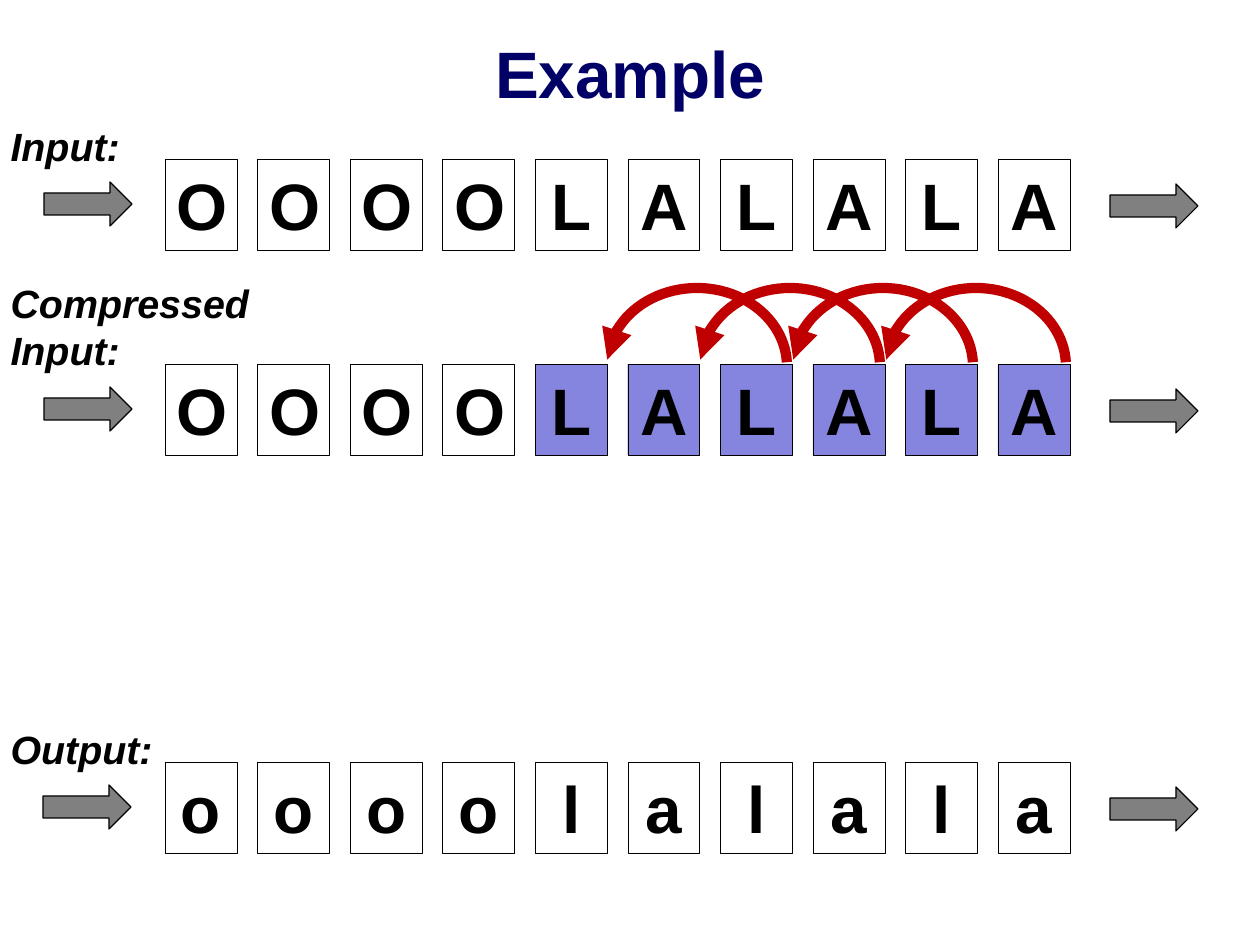
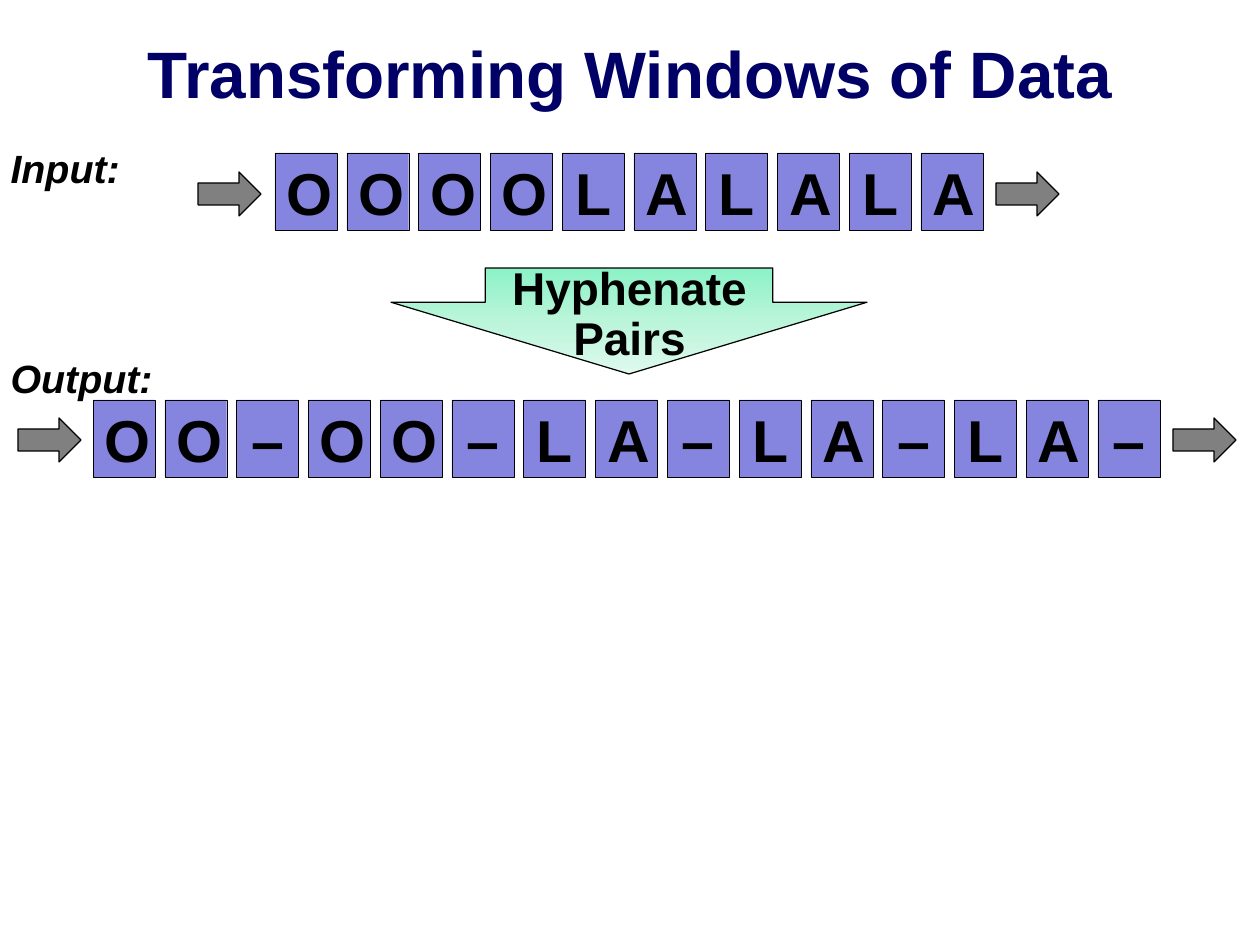
"""Build two slides that show how rows of data windows are transformed."""
from copy import deepcopy

from lxml import etree
from pptx import Presentation
from pptx.dml.color import RGBColor
from pptx.enum.shapes import MSO_SHAPE
from pptx.enum.text import MSO_ANCHOR, MSO_AUTO_SIZE, PP_ALIGN
from pptx.oxml.ns import qn
from pptx.util import Pt

RECTANGLE, ARC = MSO_SHAPE.RECTANGLE, MSO_SHAPE.ARC
RIGHT_ARROW, DOWN_ARROW = MSO_SHAPE.RIGHT_ARROW, MSO_SHAPE.DOWN_ARROW
TOP, MIDDLE = MSO_ANCHOR.TOP, MSO_ANCHOR.MIDDLE
LEFT, CENTER = PP_ALIGN.LEFT, PP_ALIGN.CENTER
GROW, FIXED = MSO_AUTO_SIZE.SHAPE_TO_FIT_TEXT, MSO_AUTO_SIZE.NONE

EMU_PER_PX = 7741
PAGE_WIDTH, PAGE_HEIGHT = 1260, 945
FONT = "Arial"
COLORS = {
    "title": "000066",
    "ink": "000000",
    "window": "8585E0",
    "arrow": "808080",
    "jump": "C00000",
}
GRADIENT = [(0, "8CF2C6"), (0.5, "BAF5DA"), (1, "DEF9EC")]

LARGE = {"box": (72, 91), "arrow": (88, 44), "size": 40,
         "anchor": TOP, "fit": GROW}
SMALL = {"box": (62, 77), "arrow": (63, 44), "size": 36,
         "anchor": MIDDLE, "fit": FIXED}

SLIDES = [
    {
        "title": "Example",
        "labels": [
            ("Input:", 116, 133, 59),
            ("Compressed\nInput:", 273, 265, 107),
            ("Output:", 719, 168, 59),
        ],
        "rows": [
            {"letters": "OOOOLALALA", "plain": 10, "style": LARGE, "top": 159,
             "first": 165, "last": 998, "arrows": [(44, 182), (1110, 184)]},
            {"letters": "OOOOLALALA", "plain": 4, "style": LARGE, "top": 364,
             "first": 165, "last": 998, "arrows": [(44, 387), (1110, 389)]},
            {"letters": "oooolalala", "plain": 10, "style": LARGE, "top": 762,
             "first": 165, "last": 998, "arrows": [(43, 785), (1110, 787)]},
        ],
        "jumps": {"count": 4, "left": 607, "step": 93, "top": 288,
                  "width": 180, "height": 156},
    },
    {
        "title": "Transforming Windows of Data",
        "labels": [("Input:", 138, 133, 59), ("Output:", 348, 168, 59)],
        "rows": [
            {"letters": "OOOOLALALA", "plain": 0, "style": SMALL, "top": 153,
             "first": 275, "last": 921, "arrows": [(198, 172), (996, 172)]},
            {"letters": "OO–OO–LA–LA–LA–", "plain": 0, "style": SMALL,
             "top": 400, "first": 93, "last": 1098,
             "arrows": [(18, 418), (1173, 418)]},
        ],
        "step": "Hyphenate\vPairs",
    },
]


def px(*lengths):
    return [round(length * EMU_PER_PX) for length in lengths]


def color(name):
    return RGBColor.from_string(COLORS[name])


def write(box, text, size, ink="ink", italic=False, align=LEFT, anchor=TOP,
          wrap=True, fit=FIXED, spacing=None, margins=None):
    frame = box.text_frame
    frame.word_wrap = wrap
    frame.auto_size = fit
    frame.vertical_anchor = anchor
    if margins:
        side, edge = px(*margins)
        frame.margin_left = frame.margin_right = side
        frame.margin_top = frame.margin_bottom = edge
    for number, line in enumerate(text.split("\n")):
        para = frame.add_paragraph() if number else frame.paragraphs[0]
        para.text = line
        para.alignment = align
        if spacing:
            para.line_spacing = spacing
        for span in para.runs:
            span.font.name = FONT
            span.font.size = Pt(size)
            span.font.bold = True
            span.font.italic = italic
            span.font.color.rgb = color(ink)


def add_text(page, place, text, **style):
    write(page.shapes.add_textbox(*px(*place)), text, **style)


def add_figure(page, kind, place, fill=None, line="ink", weight=0.75):
    figure = page.shapes.add_shape(kind, *px(*place))
    figure.shadow.inherit = False
    if fill:
        figure.fill.solid()
        figure.fill.fore_color.rgb = color(fill)
    else:
        figure.fill.background()
    figure.line.color.rgb = color(line)
    figure.line.width = Pt(weight)
    return figure


def add_row(page, letters, plain, style, top, first, last, arrows):
    pitch = (last - first) / (len(letters) - 1)
    for index, letter in enumerate(letters):
        place = (first + index * pitch, top, *style["box"])
        fill = "window" if index >= plain else None
        box = add_figure(page, RECTANGLE, place, fill, weight=0.25)
        write(box, letter, size=style["size"], align=CENTER,
              anchor=style["anchor"], fit=style["fit"])
    for corner in arrows:
        add_figure(page, RIGHT_ARROW, (*corner, *style["arrow"]), "arrow")


def add_jumps(page, count, left, step, top, width, height):
    for index in range(count):
        place = (left + index * step, top, width, height)
        jump = add_figure(page, ARC, place, line="jump", weight=6.25)
        jump.adjustments[0] = 109.432
        jump.adjustments[1] = 213.554
        properties = jump.element.spPr
        properties.find(qn("a:xfrm")).set("flipH", "1")
        outline = properties.find(qn("a:ln"))
        etree.SubElement(outline, qn("a:tailEnd"), type="triangle")


def add_step(page, text):
    arrow = add_figure(page, DOWN_ARROW, (391, 268, 476, 106))
    arrow.adjustments[0] = 0.604
    arrow.adjustments[1] = 0.677
    arrow.fill.gradient()
    arrow.fill.gradient_angle = 270
    stops = arrow.element.spPr.find(".//" + qn("a:gsLst"))
    stops.insert(1, deepcopy(stops[0]))
    for stop, (position, shade) in zip(arrow.fill.gradient_stops, GRADIENT):
        stop.position = position
        stop.color.rgb = RGBColor.from_string(shade)
    add_text(page, (475, 260, 309, 112), text, size=28, align=CENTER,
             fit=GROW, spacing=0.9)


def add_page(deck, content):
    page = deck.slides.add_slide(deck.slide_layouts[6])
    add_text(page, (0, -6, PAGE_WIDTH, 157), content["title"], size=40,
             ink="title", align=CENTER, anchor=MIDDLE, margins=(13, 6))
    for row in content["rows"]:
        add_row(page, **row)
    if "jumps" in content:
        add_jumps(page, **content["jumps"])
    if "step" in content:
        add_step(page, content["step"])
    for text, top, width, height in content["labels"]:
        add_text(page, (-1, top, width, height), text, size=24, italic=True,
                 wrap=False, fit=GROW)


def main():
    deck = Presentation()
    deck.slide_width, deck.slide_height = px(PAGE_WIDTH, PAGE_HEIGHT)
    for content in SLIDES:
        add_page(deck, content)
    deck.save("out.pptx")


if __name__ == "__main__":
    main()
